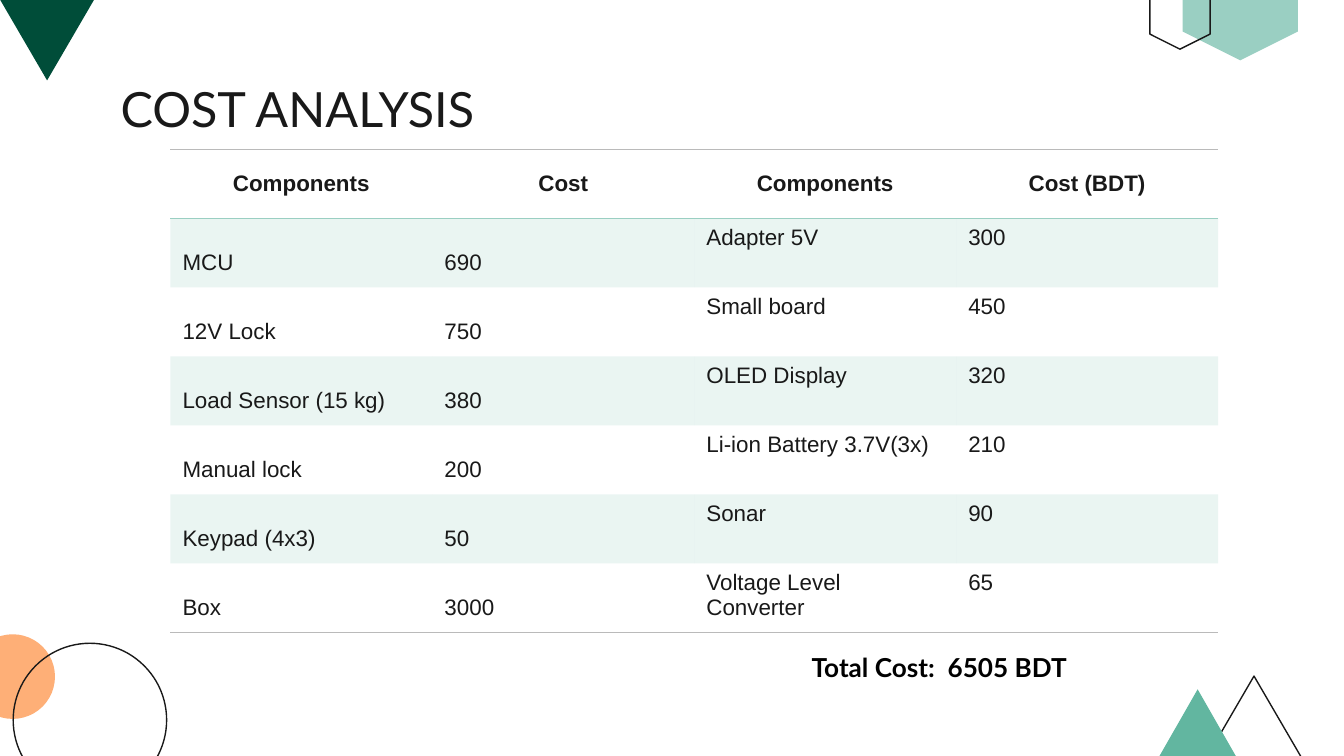
from pptx import Presentation
from pptx.dml.color import RGBColor
from pptx.enum.shapes import MSO_SHAPE
from pptx.enum.text import MSO_ANCHOR, PP_ALIGN
from pptx.oxml import parse_xml
from pptx.oxml.ns import nsdecls, qn
from pptx.util import Cm, Pt

OVAL = MSO_SHAPE.OVAL
HEX = MSO_SHAPE.HEXAGON
TRI = MSO_SHAPE.ISOSCELES_TRIANGLE
TOP, MID = MSO_ANCHOR.TOP, MSO_ANCHOR.MIDDLE
LEFT, MIDDLE = PP_ALIGN.LEFT, PP_ALIGN.CENTER

THEME = {
    "ink": "191919", "black": "000000", "mint": "9ACFC2",
    "green": "62B6A0", "forest": "004D39", "peach": "FEAF77",
    "rule": "BABABA", "head": "Lato", "body": "Arial",
    "title": 26, "total": 14, "cell": 12, "line": 0.75,
}

DECOR = [
    (OVAL, -0.56, 11.99, 1.6, 1.6, 0, "peach"),
    (OVAL, 0.25, 12.16, 2.9, 2.9, 0, None),
    (HEX, 22.17, -1.22, 2.54, 2.18, 90, "mint"),
    (HEX, 21.64, -0.3, 1.32, 1.14, 90, None),
    (TRI, -0.56, -0.97, 2.9, 2.49, 180, "forest"),
    (TRI, 22.25, 12.78, 2.9, 2.49, 0, None),
    (TRI, 21.72, 13.03, 1.83, 1.6, 0, "green"),
]

TEXTS = [
    ("COST ANALYSIS", 2.03, 1.24, 21.36, 1.6, 0.25,
     {"size": "title", "name": "head", "color": "ink", "bold": False}),
    ("Total Cost:  6505 BDT", 15.09, 12.19, 7.37, 0.86, 0.13,
     {"size": "total", "name": "head", "color": "black", "bold": True}),
]

ROWS = [
    ("Components", "Cost", "Components", "Cost (BDT)"),
    ("MCU", "690", "Adapter 5V", "300"),
    ("12V Lock", "750", "Small board", "450"),
    ("Load Sensor (15 kg)", "380", "OLED Display", "320"),
    ("Manual lock", "200", "Li-ion Battery 3.7V(3x)", "210"),
    ("Keypad (4x3)", "50", "Sonar", "90"),
    ("Box", "3000", "Voltage Level Converter", "65"),
]
GRID = {"x": 3.22, "y": 2.82, "w": 19.8, "h": 9.14}
PLAIN = "{2D5ABB26-0587-4C30-8999-92F81FD0307C}"


def tint(name):
    return RGBColor.from_string(THEME[name])


def apply(part, attrs):
    for key, val in attrs.items():
        setattr(part, key, val)


def style(font, form):
    apply(font, {"size": Pt(THEME[form["size"]]),
                 "name": THEME[form["name"]], "bold": form["bold"]})
    font.color.rgb = tint(form["color"])


def write(frame, text, form, align=LEFT):
    para = frame.paragraphs[0]
    para.alignment = align
    run = para.add_run()
    run.text = text
    style(run.font, form)


def draw(slide, kind, x, y, w, h, turn, fill):
    shape = slide.shapes.add_shape(kind, Cm(x), Cm(y), Cm(w), Cm(h))
    shape.rotation = turn
    shape.shadow.inherit = False
    if fill:
        shape.fill.solid()
        shape.fill.fore_color.rgb = tint(fill)
        shape.line.fill.background()
    else:
        shape.fill.background()
        shape.line.color.rgb = tint("ink")
        shape.line.width = Pt(THEME["line"])


def label(slide, text, x, y, w, h, pad, form):
    frame = slide.shapes.add_textbox(Cm(x), Cm(y), Cm(w), Cm(h)).text_frame
    apply(frame, {"word_wrap": True, "vertical_anchor": TOP,
                  "margin_left": Cm(0.25), "margin_right": Cm(0.25),
                  "margin_top": Cm(pad), "margin_bottom": Cm(pad)})
    write(frame, text, form)


def edge(cell, side, name):
    cell._tc.get_or_add_tcPr().append(parse_xml(
        f'<a:ln{side} {nsdecls("a")} w="9525"><a:solidFill>'
        f'<a:srgbClr val="{THEME[name]}"/></a:solidFill></a:ln{side}>'))


def shade(cell, band):
    if not band:
        cell.fill.background()
        return
    cell.fill.solid()
    cell.fill.fore_color.rgb = tint("mint")
    for color in cell._tc.tcPr.iterchildren(qn("a:solidFill")):
        color[0].append(parse_xml(f'<a:alpha {nsdecls("a")} val="20000"/>'))


def costs(slide):
    count, span = len(ROWS), len(ROWS[0])
    frame = slide.shapes.add_table(
        count, span, *(Cm(GRID[key]) for key in "xywh"))
    for node in frame.element.iter(qn("a:tableStyleId")):
        node.text = PLAIN
    table = frame.table
    for col in table.columns:
        col.width = Cm(GRID["w"] / span)
    for r, row in enumerate(ROWS):
        table.rows[r].height = Cm(GRID["h"] / count)
        head = r == 0
        form = {"size": "cell", "name": "body", "color": "ink", "bold": head}
        for c, text in enumerate(row):
            cell = table.cell(r, c)
            low = not head and c < 2
            apply(cell, {"margin_left": Cm(0.23), "margin_right": Cm(0.23),
                         "margin_top": Cm(0.6 if low else 0.13),
                         "margin_bottom": Cm(0.13),
                         "vertical_anchor": MID if head else TOP})
            if head:
                edge(cell, "T", "rule")
                edge(cell, "B", "mint")
            elif r == count - 1:
                edge(cell, "B", "rule")
            shade(cell, r % 2)
            write(cell.text_frame, text, form, MIDDLE if head else LEFT)


def main():
    deck = Presentation()
    apply(deck, {"slide_width": Cm(25.4), "slide_height": Cm(14.29)})
    slide = deck.slides.add_slide(deck.slide_layouts[6])
    for item in DECOR:
        draw(slide, *item)
    title, total = TEXTS
    label(slide, *title)
    costs(slide)
    label(slide, *total)
    deck.save("out.pptx")


if __name__ == "__main__":
    main()
